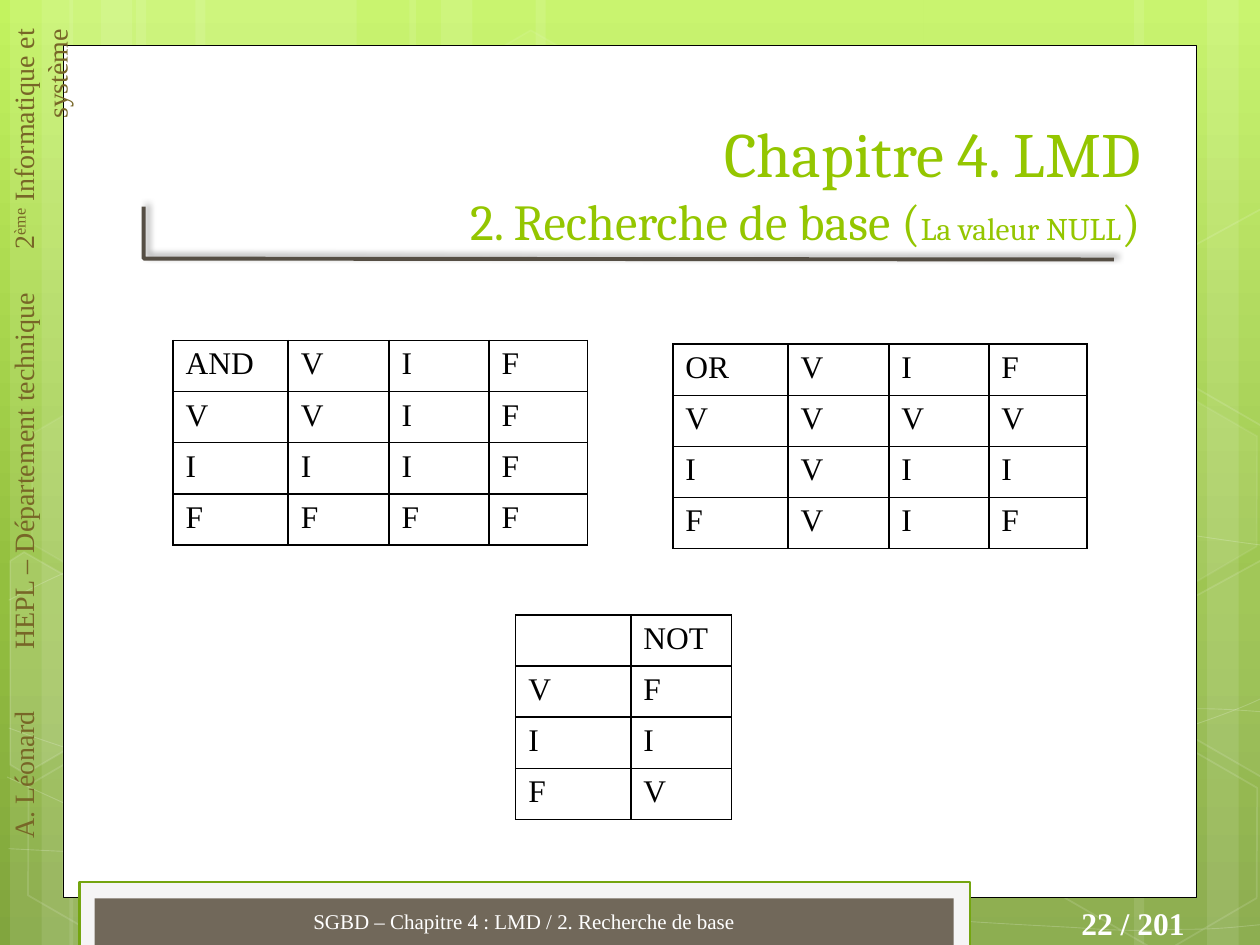
from math import cos, radians, sin
from lxml.etree import SubElement as Sub
from pptx import Presentation
from pptx.dml.color import RGBColor
from pptx.enum.shapes import MSO_SHAPE as Kind
from pptx.enum.text import MSO_ANCHOR as Anchor, PP_ALIGN as Align
from pptx.oxml import parse_xml
from pptx.oxml.ns import nsdecls, qn
from pptx.util import Pt

WIDE, HIGH = 720, 540
SERIF, HEAD = "Times New Roman", "Cambria"
WHITE, BLACK, GREEN, OLIVE = "FFFFFF", "000000", "94C600", "776627"
TILT = 30

STOPS = [(0, "C3F35F"), (62, "93BF3F"), (100, "81A53E")]
# left, width, rotation
BANDS = [(77.8, 126, 0), (5.8, 36, 0), (23.8, 59.8, 0), (111.6, 126, 0),
         (39.6, 36, 0), (57.6, 59.8, 0), (527.8, 126, 180), (689.8, 36, 180),
         (648, 59.8, 180), (306, 221.8, 0), (234, 36, 0), (252, 59.8, 0)]
# start point, then two control points and an end point per Bézier piece
CURVES = [
    [(5, 485), (44, 487), (83, 489), (137, 488), (191, 487), (258, 486),
     (330, 479), (402, 472), (504, 458), (570, 444), (636, 431), (703, 409),
     (725, 397)],
    [(5, 343), (26, 332), (47, 321), (87, 310), (128, 300), (187, 284),
     (250, 279), (314, 274), (392, 273), (471, 279), (550, 284), (682, 307),
     (725, 312)],
    [(4, 444), (91, 484), (178, 523), (241, 539)],
    [(5, 416), (27, 424), (50, 432), (92, 443), (134, 454), (197, 472),
     (257, 485), (317, 497), (392, 510), (452, 517), (512, 525), (576, 528),
     (614, 530), (652, 533), (662, 531), (680, 531), (699, 531), (712, 529),
     (725, 528)],
    [(174, 539), (187, 525), (200, 510), (217, 498), (235, 485), (259, 470),
     (279, 460), (299, 450), (312, 446), (338, 438), (364, 431), (413, 421),
     (438, 416), (464, 411), (467, 411), (490, 410), (512, 408), (547, 405),
     (572, 405), (597, 404), (638, 405), (638, 405), (654, 405), (670, 405),
     (686, 405), (699, 405), (711, 406), (724, 407)],
]
# left, top, fill opacity, line opacity
HEXES = [(240.5, 25.9, 4, 8), (357.8, 424.1, 6, 12), (7.9, 425.5, 0, 12),
         (10, 224.6, 7, 8), (125.3, 426.2, 0, 12), (542.2, 326.2, 10, 12),
         (600.5, 427, 0, 12), (600.5, 226.1, 7, 8)]
LEFT = [(5.8, 320.4), (13.7, 315.4), (69.1, 347), (68.4, 410.4),
        (14.4, 442.1), (5.8, 437)]
RIGHT = [(666.7, 349.2), (720.7, 319.7), (726.5, 323.3), (726.5, 441.4),
         (721.4, 444.2), (666.7, 412.6)]
UPPER = [(x, y - 200.7) for x, y in RIGHT]
# outline, centre, fill opacity
CUTS = [(LEFT, (25.9, 385.2), 10), (RIGHT, (709.2, 374.4), 4),
        (UPPER, (709.2, 173.7), 0)]
CORNER = [(82.1, 118.1), (82.1, 147.8), (636.5, 148.3)]
# text, raised
SIDE = [("A. Léonard\tHEPL – Département technique\t2", False),
        ("ème", True), (" Informatique et système", False)]
TABS = [108, 336.6]
TITLE = [[("Chapitre 4. LMD", 36)],
         [("2. Recherche de base (", 28.8), ("La valeur NULL", 18),
          (")", 28.8)]]
# left, top, rows
TABLES = [
    (98.9, 194.6, ["AND V I F", "V V I F", "I I I F", "F F F F"]),
    (384.5, 196.7, ["OR V I F", "V V V V", "I V I I", "F V I F"]),
    (294.7, 351.4, [" NOT", "V F", "I I", "F V"]),
]
COLS, ROW = [65.8, 57.6, 57.2, 56.2], 29.2

deck = Presentation()
deck.slide_width, deck.slide_height = Pt(WIDE), Pt(HIGH)
slide = deck.slides.add_slide(deck.slide_layouts[6])
shapes = slide.shapes


def paint(fill, color, alpha=100):
    """Solid fill with opacity in percent; none at 0."""
    if not alpha:
        fill.background()
        return
    fill.solid()
    fill.fore_color.rgb = RGBColor.from_string(color)
    if alpha < 100:
        node = fill._xPr.find(".//" + qn("a:srgbClr"))
        Sub(node, qn("a:alpha"), val=str(alpha * 1000))


def style(shape, fill=WHITE, alpha=100, line=None, width=1, clear=100):
    shape.shadow.inherit = False
    paint(shape.fill, fill, alpha)
    if line:
        shape.line.width = Pt(width)
        paint(shape.line.fill, line, clear)
    else:
        shape.line.fill.background()
    return shape


def box(x, y, w, h, kind=Kind.RECTANGLE, **look):
    return style(shapes.add_shape(kind, Pt(x), Pt(y), Pt(w), Pt(h)), **look)


def trace(points, close, **look):
    pts = [(Pt(x), Pt(y)) for x, y in points]
    pen = shapes.build_freeform(*pts[0])
    pen.add_line_segments(pts[1:], close=close)
    return style(pen.convert_to_shape(), **look)


def bend(shape):
    """Turn each three line segments into one cubic Bézier piece."""
    track = shape.element.find(".//" + qn("a:path"))
    lines = track.findall(qn("a:lnTo"))
    for i in range(0, len(lines), 3):
        piece = Sub(track, qn("a:cubicBezTo"))
        for line in lines[i:i + 3]:
            piece.append(line[0])
            track.remove(line)


def turn(points, mid, angle):
    c, s = cos(radians(angle)), sin(radians(angle))
    (mx, my) = mid
    return [(mx + (x - mx) * c - (y - my) * s,
             my + (x - mx) * s + (y - my) * c) for x, y in points]


def write(para, text, size, color, face=SERIF, bold=False):
    run = para.add_run()
    run.text = text
    font = run.font
    font.size, font.name, font.bold = Pt(size), face, bold
    font.color.rgb = RGBColor.from_string(color)
    return run


def label(x, y, w, h, align, anchor=Anchor.TOP):
    """Add a text box and return its frame and first paragraph."""
    frame = shapes.add_textbox(Pt(x), Pt(y), Pt(w), Pt(h)).text_frame
    frame.word_wrap, frame.vertical_anchor = True, anchor
    frame.paragraphs[0].alignment = align
    return frame, frame.paragraphs[0]


def edge(cell):
    props = cell._tc.get_or_add_tcPr()
    for n, side in enumerate(("lnL", "lnR", "lnT", "lnB")):
        props.insert(n, parse_xml(
            f'<a:{side} {nsdecls("a")} w="12700"><a:solidFill>'
            f'<a:srgbClr val="{BLACK}"/></a:solidFill></a:{side}>'))


def grid(x, y, rows):
    cells = [row.split(" ") for row in rows]
    cols = COLS[:len(cells[0])]
    table = shapes.add_table(len(rows), len(cols), Pt(x), Pt(y),
                             Pt(sum(cols)), Pt(ROW * len(rows))).table
    table.first_row = table.horz_banding = False
    for col, w in zip(table.columns, cols):
        col.width = Pt(w)
    for r, row in enumerate(cells):
        table.rows[r].height = Pt(ROW)
        for c, text in enumerate(row):
            cell = table.cell(r, c)
            cell.fill.background()
            edge(cell)
            if text:
                write(cell.text_frame.paragraphs[0], text, 18, BLACK)


stops = "".join(f'<a:gs pos="{at * 1000}"><a:srgbClr val="{c}"/></a:gs>'
                for at, c in STOPS)
slide.element.cSld.insert(0, parse_xml(
    f'<p:bg {nsdecls("p", "a")}><p:bgPr><a:gradFill><a:gsLst>{stops}</a:gsLst>'
    '<a:lin ang="5400000" scaled="0"/></a:gradFill><a:effectLst/>'
    '</p:bgPr></p:bg>'))

for x, w, angle in BANDS:
    box(x, 0, w, HIGH, alpha=10).rotation = angle
for knots in CURVES:
    bend(trace(knots, False, alpha=0, line=WHITE, width=0.5, clear=20))
for x, y, alpha, clear in HEXES:
    cell = box(x, y, 126, 109.4, Kind.HEXAGON, alpha=alpha, line=WHITE,
               clear=clear)
    cell.adjustments[0] = 0.285
    cell.rotation = TILT
for points, mid, alpha in CUTS:
    trace(turn(points, mid, -TILT), True, alpha=alpha, line=WHITE,
          clear=12).rotation = TILT

box(36, 25.9, 648, 487, line=BLACK, width=0.5)
box(45.4, 504, 509, 36.7, fill="F5F5F5", line="74A510", width=1.25)
box(54, 513.4, 491, 27.4, fill="71685A")

frame, para = label(0, 9.4, 33.8, 530, Align.RIGHT)
frame._txBody.bodyPr.set("vert", "vert270")
tabs = Sub(para._p.get_or_add_pPr(), qn("a:tabLst"))
for at in TABS:
    Sub(tabs, qn("a:tab"), pos=str(Pt(at)), algn="l")
for text, raised in SIDE:
    run = write(para, text, 16, OLIVE)
    if raised:
        run.font._element.set("baseline", "30000")

write(label(591, 513, 93, 28.8, Align.RIGHT)[1], "22 / 201", 18, WHITE,
      bold=True)

corner = trace(CORNER, False, alpha=0, line="554E44", width=2.25)
glow = Sub(corner.element.spPr.find(qn("a:effectLst")), qn("a:outerShdw"),
           blurRad=str(Pt(4)), dist=str(Pt(3)), dir=str(315 * 60000),
           algn="bl", rotWithShape="0")
Sub(Sub(glow, qn("a:srgbClr"), val=BLACK), qn("a:alpha"), val="40000")

para = label(82.1, 56.9, 576.7, 90, Align.RIGHT, Anchor.BOTTOM)[1]
for n, line in enumerate(TITLE):
    if n:
        para.add_line_break()
    for text, size in line:
        write(para, text, size, GREEN, HEAD)

write(label(54, 511.9, 491, 28.8, Align.CENTER, Anchor.MIDDLE)[1],
      "SGBD – Chapitre 4 : LMD / 2. Recherche de base", 12, WHITE)

for x, y, rows in TABLES:
    grid(x, y, rows)

deck.save("out.pptx")
